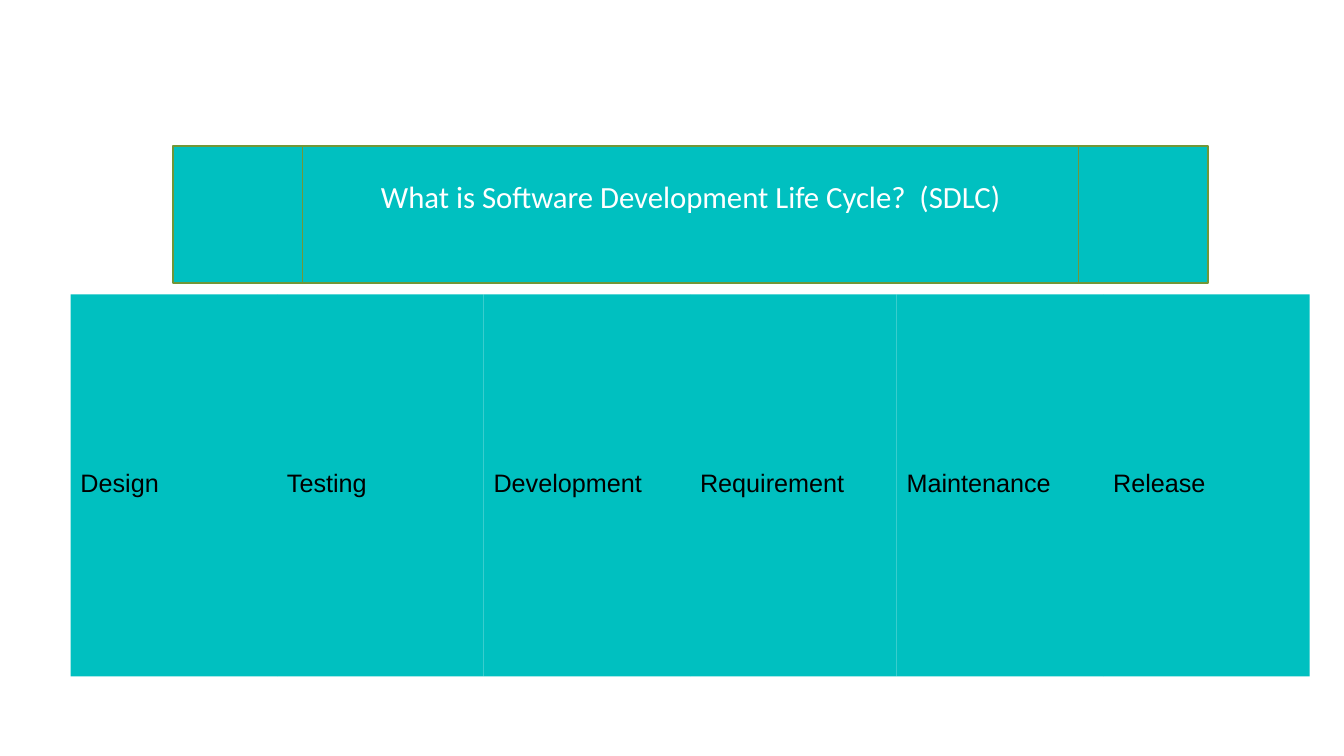
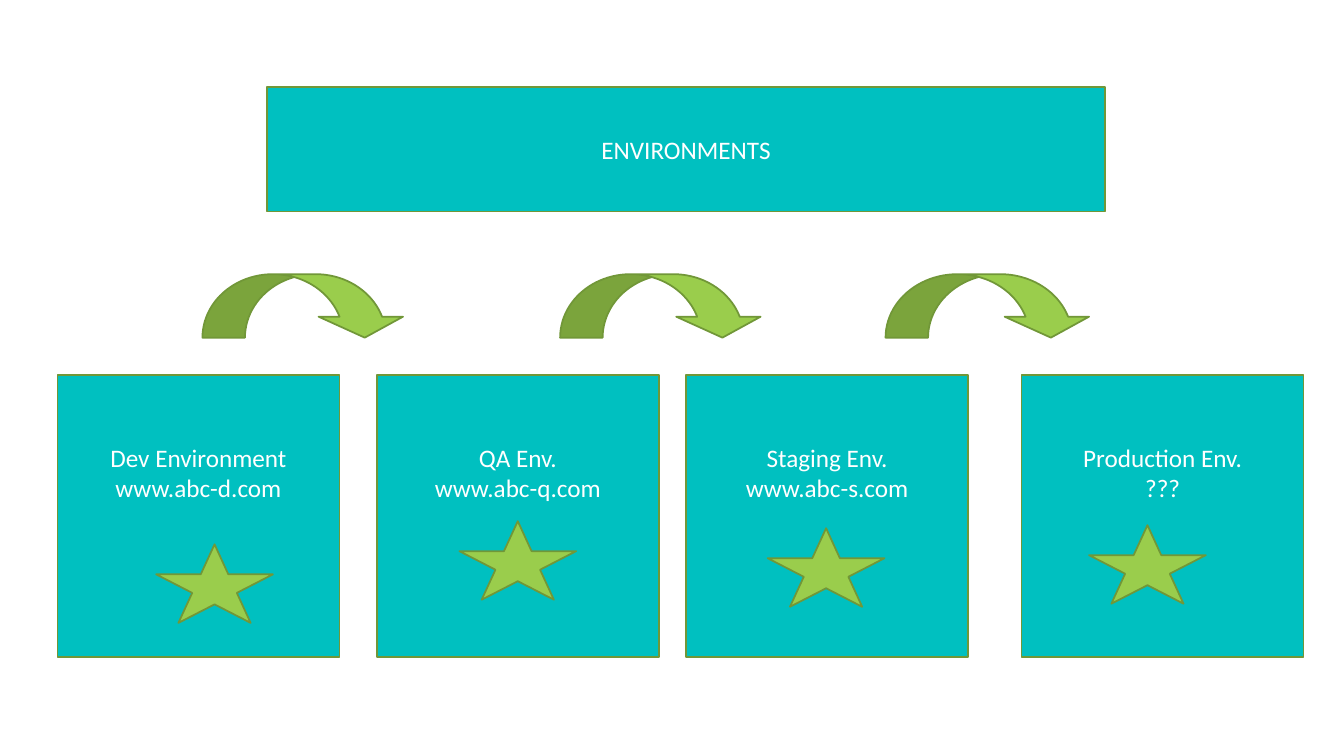
from pptx import Presentation
from pptx.dml.color import RGBColor
from pptx.enum.shapes import MSO_SHAPE
from pptx.enum.text import MSO_ANCHOR, MSO_AUTO_SIZE, PP_ALIGN
from pptx.util import Inches, Pt

RECTANGLE = MSO_SHAPE.RECTANGLE
PROCESS = MSO_SHAPE.FLOWCHART_PREDEFINED_PROCESS
CURVED_ARROW = MSO_SHAPE.CURVED_DOWN_ARROW
STAR = MSO_SHAPE.STAR_5_POINT
MIDDLE = MSO_ANCHOR.MIDDLE
NO_FIT = MSO_AUTO_SIZE.NONE
LEFT = PP_ALIGN.LEFT
CENTER = PP_ALIGN.CENTER

COLORS = {
    "panel": "00C0C0",
    "accent": "9ACD4C",
    "outline": "719738",
    "light": "FFFFFF",
    "dark": "000000",
}
TITLE_ONLY = 5


class SlideBuilder:
    def __init__(self, deck):
        self.deck = deck
        self.page = None

    def color(self, name):
        return RGBColor.from_string(COLORS[name])

    def new_page(self):
        layout = self.deck.slide_layouts[TITLE_ONLY]
        self.page = self.deck.slides.add_slide(layout)

    def shape(self, kind, left, top, width, height, fill="panel", outline="outline"):
        shape = self.page.shapes.add_shape(
            kind, Inches(left), Inches(top), Inches(width), Inches(height)
        )
        shape.shadow.inherit = False
        shape.fill.solid()
        shape.fill.fore_color.rgb = self.color(fill)
        if outline:
            shape.line.color.rgb = self.color(outline)
            shape.line.width = Pt(1.25)
        else:
            shape.line.fill.background()
        return shape

    def set_text(self, box, text, size=18, font="Calibri", color="light",
                 align=CENTER, top_inset=0.05, bottom_inset=0.05, spacing=1.0):
        frame = box.text_frame
        frame.text = text
        frame.word_wrap = True
        frame.auto_size = NO_FIT
        frame.vertical_anchor = MIDDLE
        frame.margin_left = frame.margin_right = Inches(0.1)
        frame.margin_top = Inches(top_inset)
        frame.margin_bottom = Inches(bottom_inset)
        for para in frame.paragraphs:
            para.alignment = align
            para.line_spacing = spacing
            para.space_before = Pt(0)
            for span in para.runs:
                span.font.size = Pt(size)
                span.font.name = font
                span.font.color.rgb = self.color(color)

    def title(self, kind, text, left, top, width, height, size, bottom_inset=0.05):
        self.shape(kind, left, top, width, height)
        title = self.page.shapes.title
        title.left, title.top = Inches(left), Inches(top)
        title.width, title.height = Inches(width), Inches(height)
        tree = self.page.shapes.element
        tree.append(title.element)
        self.set_text(title, text, size, bottom_inset=bottom_inset)

    def phase(self, text, left):
        box = self.shape(RECTANGLE, left, 2.92, 2.05, 3.79, outline=None)
        self.set_text(box, text, font="Arial", color="dark", align=LEFT,
                      top_inset=0.02, spacing=0.93)

    def environment(self, name, address, left):
        box = self.shape(RECTANGLE, left, 3.72, 2.8, 2.8)
        self.set_text(box, f"{name}\n{address}", bottom_inset=0.92)

    def star(self, left, top):
        self.shape(STAR, left, top, 1.16, 0.78, "accent")

    def arrow(self, left, width):
        arrow = self.shape(CURVED_ARROW, left, 2.72, width, 0.63, "accent")
        for index, value in enumerate((0.67, 1.33, 0.33)):
            arrow.adjustments[index] = value


def add_life_cycle(builder):
    builder.new_page()
    phases = ("Design", "Testing", "Development", "Requirement", "Maintenance", "Release")
    for index, phase in enumerate(phases):
        builder.phase(phase, 0.7 + 2.05 * index)
    builder.title(PROCESS, "What is Software Development Life Cycle?  (SDLC)",
                  1.72, 1.45, 10.27, 1.36, 22, bottom_inset=0.42)


def add_environments(builder):
    builder.new_page()
    builder.title(RECTANGLE, "ENVIRONMENTS", 2.65, 0.86, 8.32, 1.24, 18)
    environments = (
        ("Dev Environment", "www.abc-d.com", 0.57, 1.55, 5.4),
        ("QA Env.", "www.abc-q.com", 3.74, 4.56, 5.17),
        ("Staging Env.", "www.abc-s.com", 6.81, 7.62, 5.24),
        ("Production Env.", "???", 10.14, 10.81, 5.21),
    )
    for name, address, left, star_left, star_top in environments:
        builder.environment(name, address, left)
        builder.star(star_left, star_top)
    for left, width in ((2.01, 2.03), (5.56, 2.03), (8.79, 2.06)):
        builder.arrow(left, width)


def main():
    deck = Presentation()
    deck.slide_width = Inches(13.34)
    deck.slide_height = Inches(7.5)
    builder = SlideBuilder(deck)
    add_life_cycle(builder)
    add_environments(builder)
    deck.save("out.pptx")


if __name__ == "__main__":
    main()
